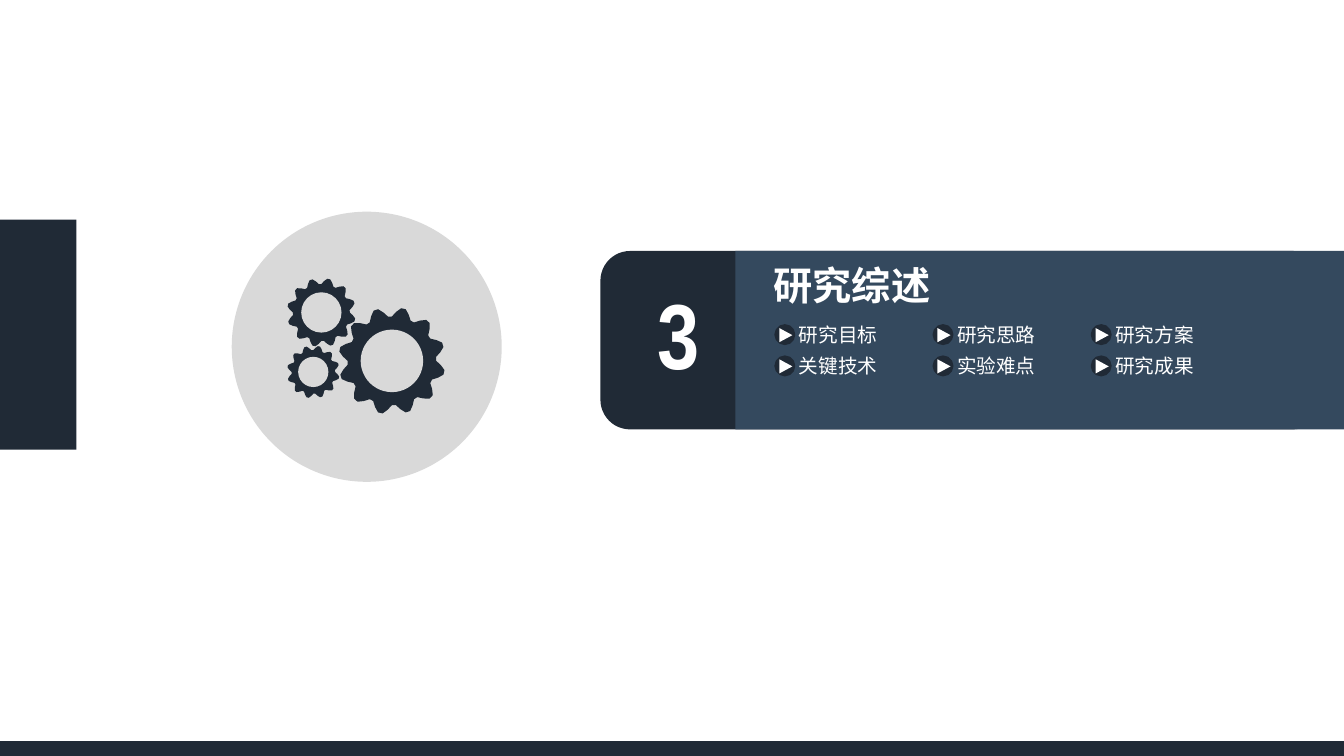
from dataclasses import dataclass
from math import cos, pi, sin

from lxml import etree
from pptx import Presentation
from pptx.dml.color import RGBColor
from pptx.enum.shapes import MSO_SHAPE
from pptx.enum.text import MSO_ANCHOR, PP_ALIGN
from pptx.oxml.ns import qn
from pptx.util import Inches, Pt

OVAL, RECT = MSO_SHAPE.OVAL, MSO_SHAPE.RECTANGLE
ROUNDED, TRIANGLE = MSO_SHAPE.ROUNDED_RECTANGLE, MSO_SHAPE.ISOSCELES_TRIANGLE
TOP, MIDDLE = MSO_ANCHOR.TOP, MSO_ANCHOR.MIDDLE
LEFT, CENTER = PP_ALIGN.LEFT, PP_ALIGN.CENTER


@dataclass(frozen=True)
class Theme:
    navy: RGBColor = RGBColor(0x20, 0x2A, 0x36)
    slate: RGBColor = RGBColor(0x34, 0x49, 0x5E)
    grey: RGBColor = RGBColor(0xD9, 0xD9, 0xD9)
    white: RGBColor = RGBColor(0xFF, 0xFF, 0xFF)
    number_font: str = "Arial Narrow"
    text_font: str = "Noto Sans CJK SC"
    number_size: int = 66
    title_size: int = 28
    topic_size: int = 14


THEME = Theme()
SLIDE_W, SLIDE_H = 13.34, 7.5
TEETH = 12
# Radius factors of the six corners of one tooth: tip, flank, valley, flank
TOOTH = [1, 0.92, 0.83, 0.83, 0.92, 1]

# Centre x, centre y, outer radius, hole radius
GEARS = [
    (3.89, 3.58, 0.53, 0.31),
    (3.19, 3.1, 0.34, 0.2),
    (3.11, 3.69, 0.26, 0.15),
]
TOPICS = [
    ["研究目标", "研究思路", "研究方案"],
    ["关键技术", "实验难点", "研究成果"],
]


def paint(shape, fill, outline=None):
    shape.shadow.inherit = False
    shape.fill.solid()
    shape.fill.fore_color.rgb = fill
    if outline is None:
        shape.line.fill.background()
    else:
        shape.line.color.rgb = outline
        shape.line.width = Pt(2)


def add_block(shapes, preset, x, y, w, h, fill, outline=None):
    block = shapes.add_shape(preset, Inches(x), Inches(y), Inches(w), Inches(h))
    paint(block, fill, outline)
    return block


def add_text(shapes, text, x, y, w, h, *, size, font=THEME.text_font,
             bold=False, align=LEFT, anchor=MIDDLE, inset=(0, 0)):
    label = shapes.add_textbox(Inches(x), Inches(y), Inches(w), Inches(h))
    frame = label.text_frame
    frame.word_wrap = True
    frame.vertical_anchor = anchor
    frame.margin_left = frame.margin_right = Inches(inset[0])
    frame.margin_top = frame.margin_bottom = Inches(inset[1])
    paragraph = frame.paragraphs[0]
    paragraph.alignment = align
    run = paragraph.add_run()
    run.text = text
    run.font.name = font
    run.font.size = Pt(size)
    run.font.bold = bold
    run.font.color.rgb = THEME.white
    # Chinese characters take their typeface from a:ea
    latin = run.font._element.find(qn("a:latin"))
    east_asian = etree.Element(qn("a:ea"), typeface=font)
    latin.addnext(east_asian)


def add_gear(shapes, cx, cy, outer, hole):
    corners = TEETH * len(TOOTH)
    rim = []
    for i in range(corners):
        angle = pi / 12 + 2 * pi * i / corners
        radius = outer * TOOTH[i % len(TOOTH)]
        rim.append((Inches(cx + radius * cos(angle)), Inches(cy + radius * sin(angle))))
    builder = shapes.build_freeform(*rim[0])
    builder.add_line_segments(rim[1:], close=True)
    paint(builder.convert_to_shape(), THEME.navy)
    add_block(shapes, OVAL, cx - hole, cy - hole, 2 * hole, 2 * hole, THEME.grey)


def add_topic(shapes, text, x, y):
    add_text(shapes, text, x + 0.23, y, 1.34, 0.24, size=THEME.topic_size)
    add_block(shapes, OVAL, x, y + 0.03, 0.18, 0.18, THEME.navy, THEME.navy)
    arrow = add_block(shapes, TRIANGLE, x + 0.03, y + 0.06, 0.14, 0.13, THEME.white)
    arrow.rotation = 90


def main():
    deck = Presentation()
    deck.slide_width, deck.slide_height = Inches(SLIDE_W), Inches(SLIDE_H)
    shapes = deck.slides.add_slide(deck.slide_layouts[6]).shapes

    # Left tab and bottom bar
    add_block(shapes, RECT, 0, 2.18, 0.76, 2.28, THEME.navy)
    add_block(shapes, RECT, 0, 7.37, SLIDE_W, 0.13, THEME.navy, THEME.navy)

    # Gears on a grey disc
    add_block(shapes, OVAL, 2.3, 2.1, 2.68, 2.68, THEME.grey)
    for gear in GEARS:
        add_gear(shapes, *gear)

    # Section banner
    add_block(shapes, ROUNDED, 5.96, 2.49, 7.17, 1.77, THEME.navy)
    add_block(shapes, RECT, 7.3, 2.49, SLIDE_W - 7.3, 1.77, THEME.slate)
    add_text(shapes, "3", 6.43, 2.7, 0.39, 1.21, size=THEME.number_size,
             font=THEME.number_font, bold=True, align=CENTER, anchor=TOP,
             inset=(0.1, 0.05))
    add_text(shapes, "研究综述", 7.61, 2.55, 2.3, 0.55, size=THEME.title_size,
             bold=True, inset=(0.07, 0.04))

    # Topic grid
    for row, topics in enumerate(TOPICS):
        for column, text in enumerate(topics):
            add_topic(shapes, text, 7.7 + 1.57 * column, 3.2 + 0.31 * row)

    deck.save("out.pptx")


if __name__ == "__main__":
    main()
